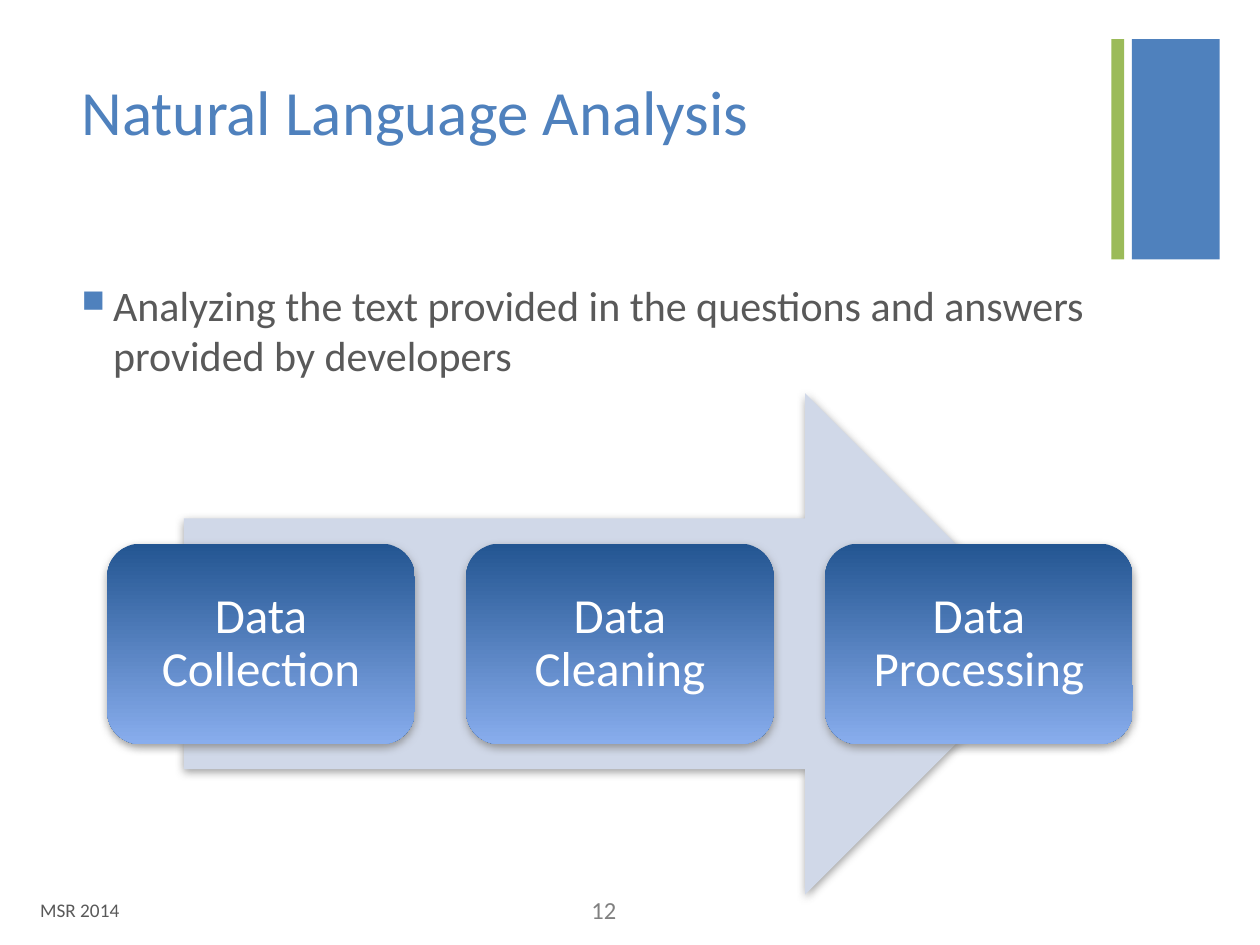
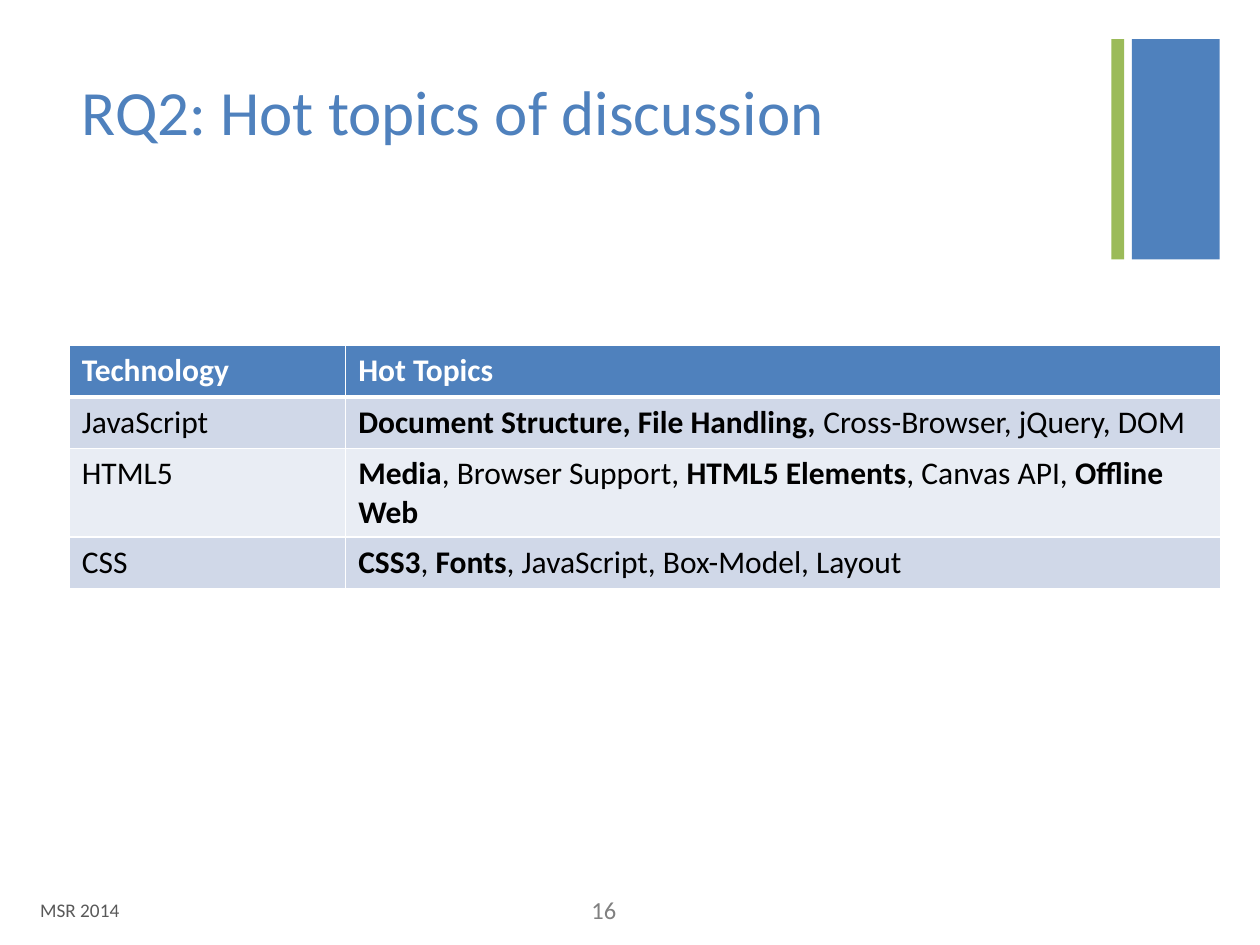
import dataclasses

import lxml.etree
import pptx
import pptx.dml.color
import pptx.enum.shapes
import pptx.enum.text
import pptx.oxml.ns
import pptx.util

RGBColor = pptx.dml.color.RGBColor
MSO_SHAPE = pptx.enum.shapes.MSO_SHAPE
PP_ALIGN = pptx.enum.text.PP_ALIGN
MSO_ANCHOR = pptx.enum.text.MSO_ANCHOR
Pt = pptx.util.Pt
qn = pptx.oxml.ns.qn

BLUE = RGBColor(0x4F, 0x81, 0xBD)
GREEN = RGBColor(0x9B, 0xBB, 0x59)
GREY = RGBColor(0x59, 0x59, 0x59)
PAGE_GREY = RGBColor(0x80, 0x80, 0x80)
PALE = RGBColor(0xD0, 0xD8, 0xE8)
PALER = RGBColor(0xE9, 0xED, 0xF4)
DEEP = RGBColor(0x23, 0x55, 0x91)
LIGHT = RGBColor(0x88, 0xAD, 0xED)
WHITE = RGBColor(0xFF, 0xFF, 0xFF)
BLACK = RGBColor(0, 0, 0)
FONT = "Calibri"

# The slide is a grid of square cells
COLS, ROWS = 100, 75
CELL = pptx.util.Inches(0.1)


@dataclasses.dataclass
class Box:
    """An area of the slide, in grid columns and rows."""
    x: float
    y: float
    w: float
    h: float

    def cut(self, x, y, w, h):
        """The part of this box given by shares of its size."""
        return Box(self.x + x * self.w, self.y + y * self.h, w * self.w, h * self.h)

    def emu(self):
        return [round(v * CELL) for v in (self.x, self.y, self.w, self.h)]


BAND = Box(88.2, 3.1, 8.6, 17.5)
TITLE = Box(5.5, 5.3, 82.6, 12.2)
BODY = Box(5.5, 21.7, 82.6, 45.3)
PROCESS = Box(8.5, 31.2, 81.4, 39.8)
TABLE = Box(5.5, 27.4, 91.4, 16.4)
FOOTER = Box(2.2, 70.2, 67, 4)
PAGE = Box(43.8, 70.2, 6.1, 4)


def apply(target, **values):
    for name, value in values.items():
        setattr(target, name, value)


def write(tf, text, size, color, bold=False, **para):
    """Fill a text frame; pieces between ** marks are bold."""
    tf.word_wrap = True
    p = tf.paragraphs[0]
    apply(p, **para)
    for i, piece in enumerate(text.split("**")):
        if piece:
            r = p.add_run()
            r.text = piece
            apply(r.font, name=FONT, size=Pt(size), bold=bold or i % 2 == 1)
            r.font.color.rgb = color
    return p


def add_text(s, box, text, size, color, anchor=MSO_ANCHOR.TOP, **para):
    tf = s.shapes.add_textbox(*box.emu()).text_frame
    tf.vertical_anchor = anchor
    return write(tf, text, size, color, **para)


def add_shape(s, box, kind, color=None):
    sp = s.shapes.add_shape(kind, *box.emu())
    sp.shadow.inherit = False
    sp.line.fill.background()
    if color is not None:
        sp.fill.solid()
        sp.fill.fore_color.rgb = color
    return sp


def add_shadow(sp):
    effects = sp._element.spPr.find(qn("a:effectLst"))
    shadow = lxml.etree.SubElement(
        effects, qn("a:outerShdw"), blurRad=str(Pt(5)), dist=str(Pt(2)),
        dir="5400000", algn="t", rotWithShape="0")
    color = lxml.etree.SubElement(shadow, qn("a:srgbClr"), val=str(PAGE_GREY))
    lxml.etree.SubElement(color, qn("a:alpha"), val="75000")


def add_frame(prs, title, page):
    """A new slide with what all slides share."""
    s = prs.slides.add_slide(prs.slide_layouts[6])
    add_shape(s, BAND.cut(0.19, 0, 0.81, 1), MSO_SHAPE.RECTANGLE, BLUE)
    add_shape(s, BAND.cut(0, 0, 0.12, 1), MSO_SHAPE.RECTANGLE, GREEN)
    add_text(s, TITLE, title, 36, BLUE)
    add_text(s, FOOTER, "MSR 2014", 11, GREY, MSO_ANCHOR.MIDDLE)
    add_text(s, PAGE, str(page), 14, PAGE_GREY, MSO_ANCHOR.MIDDLE,
             alignment=PP_ALIGN.RIGHT)
    return s


def add_bullet(s, box, text):
    p = add_text(s, box, text, 24, GREY, space_before=Pt(20))
    pPr = p._p.get_or_add_pPr()
    indent = pptx.util.Inches(0.25)
    pPr.set("marL", str(indent))
    pPr.set("indent", str(-indent))
    color = lxml.etree.SubElement(pPr, qn("a:buClr"))
    lxml.etree.SubElement(color, qn("a:srgbClr"), val=str(BLUE))
    lxml.etree.SubElement(pPr, qn("a:buSzPct"), val="75000")
    lxml.etree.SubElement(pPr, qn("a:buChar"), char="■")


def add_process(s, box, steps):
    """Equal cards in a row over a broad arrow."""
    add_shadow(add_shape(s, box.cut(0.075, 0, 0.85, 1), MSO_SHAPE.RIGHT_ARROW, PALE))
    gap = 0.05
    width = (1 - gap * (len(steps) - 1)) / len(steps)
    inset = pptx.util.Inches(0.12)
    for i, step in enumerate(steps):
        card = add_shape(s, box.cut(i * (width + gap), 0.3, width, 0.4),
                         MSO_SHAPE.ROUNDED_RECTANGLE)
        card.fill.gradient()
        card.fill.gradient_angle = 270
        for stop, position, color in zip(card.fill.gradient_stops, (0, 1), (DEEP, LIGHT)):
            stop.position = position
            stop.color.rgb = color
        add_shadow(card)
        tf = card.text_frame
        apply(tf, vertical_anchor=MSO_ANCHOR.MIDDLE, margin_left=inset,
              margin_right=inset, margin_top=inset, margin_bottom=inset)
        write(tf, step, 28, WHITE, alignment=PP_ALIGN.CENTER, line_spacing=0.9)


def add_borders(cell, **widths):
    tcPr = cell._tc.get_or_add_tcPr()
    for side, width in widths.items():
        ln = lxml.etree.SubElement(tcPr, qn("a:ln" + side), w=str(Pt(width)))
        fill = lxml.etree.SubElement(ln, qn("a:solidFill"))
        lxml.etree.SubElement(fill, qn("a:srgbClr"), val=str(WHITE))


def add_table(s, box, rows, shares):
    table = s.shapes.add_table(len(rows), len(shares), *box.emu()).table
    for column, share in zip(table.columns, shares):
        column.width = round(share * box.w * CELL)
    for i, row in enumerate(rows):
        head = i == 0
        fill = BLUE if head else (PALER, PALE)[i % 2]
        for j, text in enumerate(row):
            cell = table.cell(i, j)
            # A thicker rule parts the header from the rows
            add_borders(cell, L=1, R=1, T=3 if i == 1 else 1, B=3 if head else 1)
            cell.fill.solid()
            cell.fill.fore_color.rgb = fill
            write(cell.text_frame, text, 18, WHITE if head else BLACK, bold=head)


def main():
    prs = pptx.Presentation()
    apply(prs, slide_width=COLS * CELL, slide_height=ROWS * CELL)

    s = add_frame(prs, "Natural Language Analysis", 12)
    add_bullet(s, BODY, "Analyzing the text provided in the questions and "
                        "answers provided by developers")
    add_process(s, PROCESS, ["Data Collection", "Data Cleaning", "Data Processing"])

    s = add_frame(prs, "RQ2: Hot topics of discussion", 16)
    add_table(s, TABLE, [
        ("Technology", "Hot Topics"),
        ("JavaScript", "**Document Structure, File Handling, **Cross-Browser, jQuery, DOM"),
        ("HTML5", "**Media**, Browser Support, **HTML5 Elements**, Canvas API, **Offline Web**"),
        ("CSS", "**CSS3**, **Fonts**, JavaScript, Box-Model, Layout"),
    ], (0.24, 0.76))

    prs.save("out.pptx")


if __name__ == "__main__":
    main()
